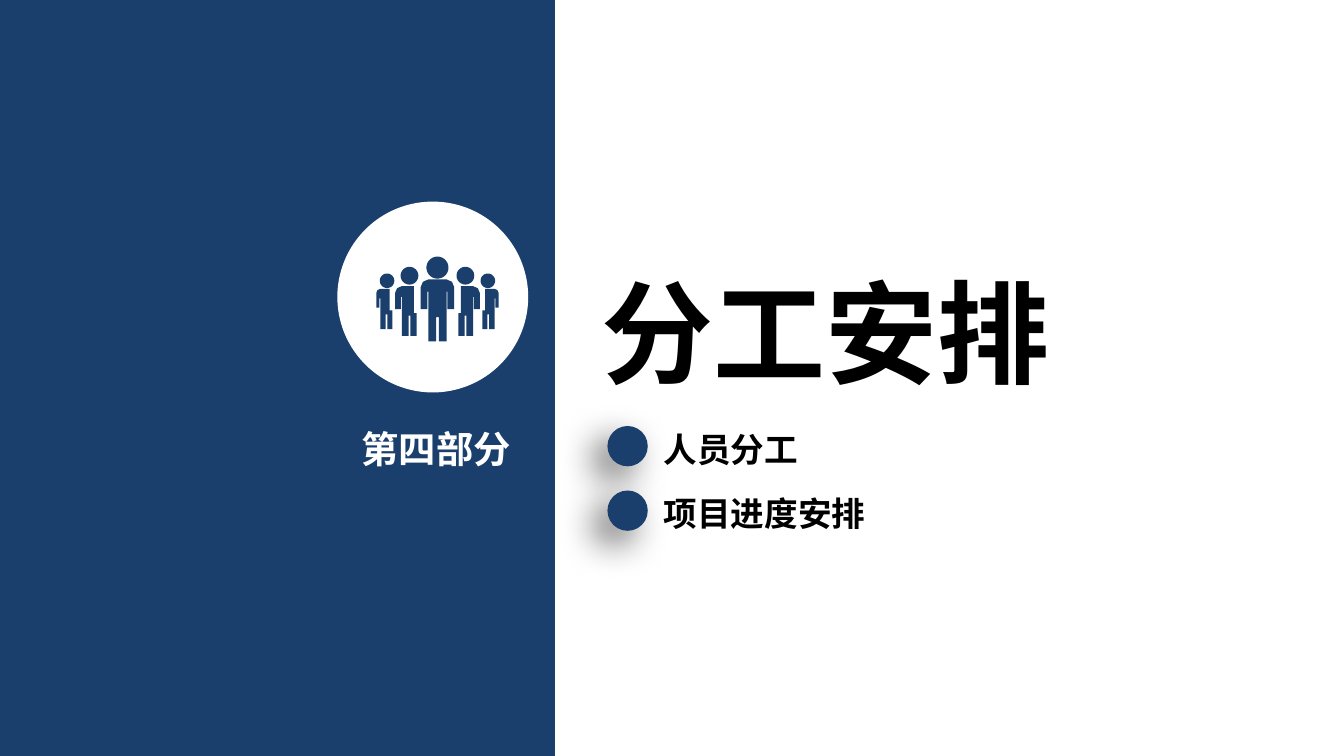
from math import cos, pi, sin

from lxml import etree
from pptx import Presentation
from pptx.dml.color import RGBColor
from pptx.enum.shapes import MSO_SHAPE
from pptx.oxml.ns import qn
from pptx.util import Inches, Pt

NAVY = RGBColor(0x1A, 0x3F, 0x6C)
WHITE = RGBColor(0xFF, 0xFF, 0xFF)
BLACK = RGBColor(0x00, 0x00, 0x00)
FONT = "Noto Sans CJK SC"
RECTANGLE, OVAL = MSO_SHAPE.RECTANGLE, MSO_SHAPE.OVAL

WIDTH = 10
HEIGHT = WIDTH * 9 / 16
PANEL_WIDTH = 4.13
ICON_COLUMNS, ICON_ROWS = 91, 63  # grid on which the people are drawn


def paint(shape, color):
    shape.shadow.inherit = False
    shape.fill.solid()
    shape.fill.fore_color.rgb = color
    shape.line.fill.background()


def add_plain_shape(page, kind, box, color):
    shape = page.shapes.add_shape(kind, *map(Inches, box))
    paint(shape, color)
    return shape


def add_text(page, box, text, size, color, inset=True, wrap=False):
    frame = page.shapes.add_textbox(*map(Inches, box)).text_frame
    frame.word_wrap = wrap
    if not inset:
        frame.margin_left = frame.margin_right = 0
        frame.margin_top = frame.margin_bottom = 0
    para = frame.paragraphs[0]
    span = para.add_run()
    span.text = text
    for font in (para.font, span.font):
        font.size, font.bold, font.name = Pt(size), True, FONT
        font.color.rgb = color
    properties = span.font._element
    etree.SubElement(properties, qn("a:ea")).set("typeface", FONT)


def add_soft_shadow(shape):
    effects = shape._element.spPr.find(qn("a:effectLst"))
    shadow = etree.SubElement(
        effects, qn("a:outerShdw"), blurRad=str(Pt(20)), dist=str(Pt(10)),
        dir=str(135 * 60000), algn="tr", rotWithShape="0")
    color = etree.SubElement(shadow, qn("a:srgbClr"), val=str(BLACK))
    etree.SubElement(color, qn("a:alpha"), val="60000")


def mirror(points):
    return [(ICON_COLUMNS - x, y) for x, y in points]


def head(x, y, radius, steps=40):
    angles = [2 * pi * step / steps for step in range(steps)]
    return [(x + radius * cos(a), y + radius * sin(a)) for a in angles]


def outer_side(arm, torso, top, armpit, hand, foot, crotch_x, crotch_y):
    """Outline from the inner leg, round the arm, up to the shoulder."""
    curve = torso - arm
    return [(crotch_x, crotch_y), (crotch_x, foot), (torso, foot),
            (torso, armpit), (torso - 0.7, armpit), (torso - 0.7, hand),
            (arm, hand), (arm, top + curve), (arm + 0.3 * curve, top + 0.3 * curve),
            (torso, top)]


def side_person(arm, torso, chest, leg, top, armpit, hand, hip, foot, crotch_x, crotch_y):
    """Outline of a person whose inner arm is hidden by a neighbour."""
    outline = outer_side(arm, torso, top, armpit, hand, foot, crotch_x, crotch_y)
    return outline + [(chest, top), (chest, hip), (leg, hip), (leg, foot),
                      (crotch_x + 1.3, foot), (crotch_x + 1.3, crotch_y)]


def add_people(page, box, color):
    left, top, width, height = map(Inches, box)
    left_people = [
        head(8, 18, 5.4),
        side_person(0, 3, 10, 12, 24, 31, 38, 40, 54, 7, 43),
        head(24.7, 14.2, 6.6),
        side_person(14, 19, 28, 30, 22, 30, 39, 42, 59, 24, 44),
    ]
    leader_half = outer_side(33, 38.7, 17, 26, 39, 63, 44.5, 45)
    leader = leader_half + mirror(leader_half)[::-1]
    outlines = left_people + [mirror(points) for points in left_people]
    outlines += [head(ICON_COLUMNS / 2, 8.2, 8.2), leader]

    builder = None
    for outline in outlines:
        points = [(left + x * width / ICON_COLUMNS, top + y * height / ICON_ROWS)
                  for x, y in outline]
        if builder is None:
            builder = page.shapes.build_freeform(*points[0])
        else:
            builder.move_to(*points[0])
        builder.add_line_segments(points[1:], close=True)
    paint(builder.convert_to_shape(), color)


def add_section_panel(page, box, label):
    left, top, width, height = box
    add_plain_shape(page, RECTANGLE, box, NAVY)
    disc = 1.42
    disc_left, disc_top = left + width - 0.2 - disc, top + 1.5
    add_plain_shape(page, OVAL, (disc_left, disc_top, disc, disc), WHITE)
    add_people(page, (disc_left + 0.29, disc_top + 0.41, 0.91, 0.63), NAVY)
    add_text(page, (disc_left + 0.18, disc_top + 1.67, 1.21, 0.36), label, 20, WHITE,
             inset=False, wrap=True)


def add_contents(page, box, title, topics):
    left, top, width, height = box
    add_text(page, (left, top, width, 1.17), title, 60, BLACK)
    dot, pitch = 0.3, 0.48
    for row, topic in enumerate(topics):
        dot_top = top + 1.26 + row * pitch
        add_soft_shadow(add_plain_shape(page, OVAL, (left + 0.14, dot_top, dot, dot), NAVY))
        text_width = 0.2 + 0.25 * len(topic)
        add_text(page, (left + 0.46, dot_top - 0.03, text_width, 0.42), topic, 18, BLACK)


def main():
    deck = Presentation()
    deck.slide_width, deck.slide_height = Inches(WIDTH), Inches(HEIGHT)
    page = deck.slides.add_slide(deck.slide_layouts[6])
    add_section_panel(page, (0, 0, PANEL_WIDTH, HEIGHT), "第四部分")
    add_contents(page, (PANEL_WIDTH + 0.25, 1.91, 3.53, 2.13), "分工安排",
                 ["人员分工", "项目进度安排"])
    deck.save("out.pptx")


if __name__ == "__main__":
    main()
